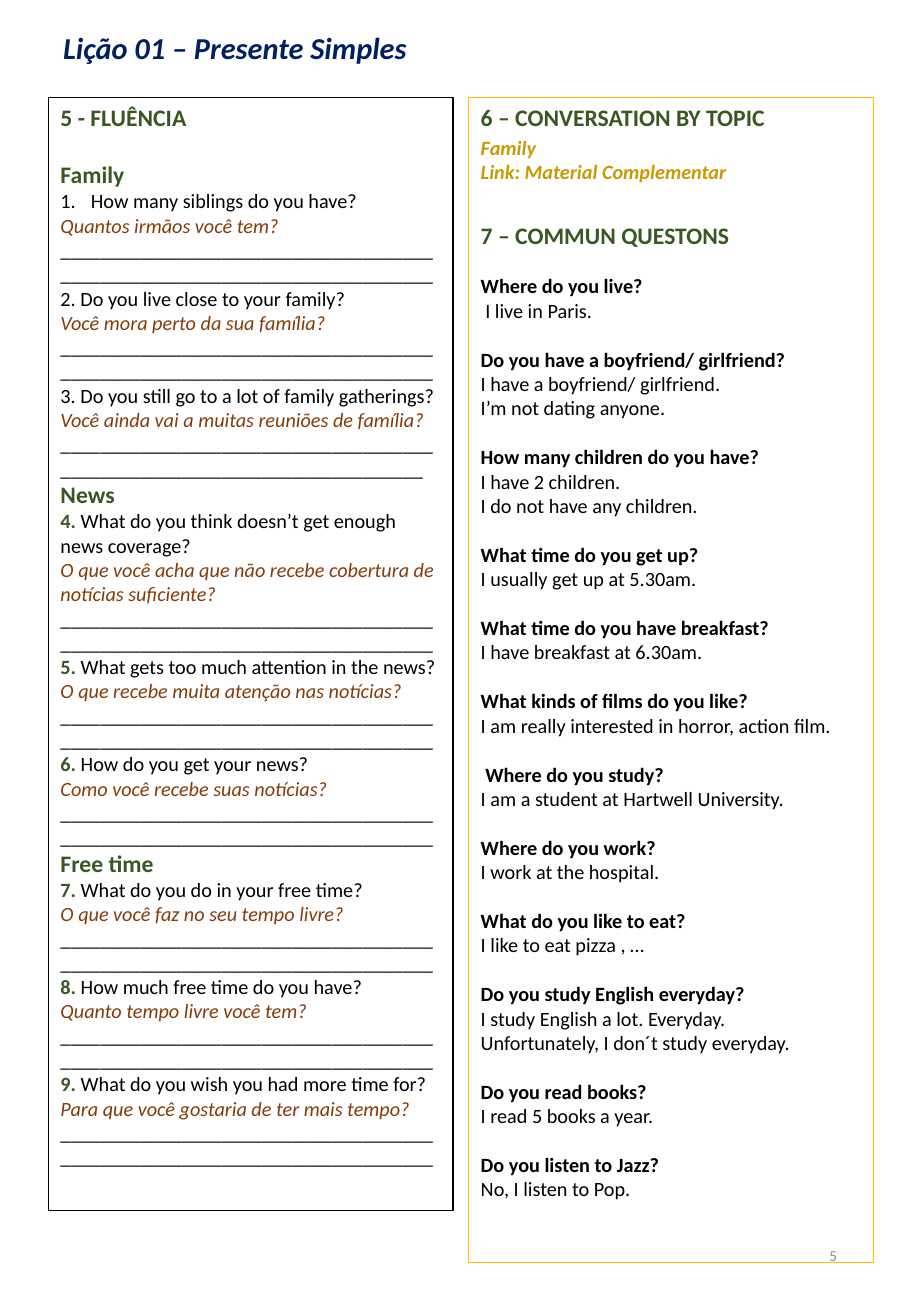
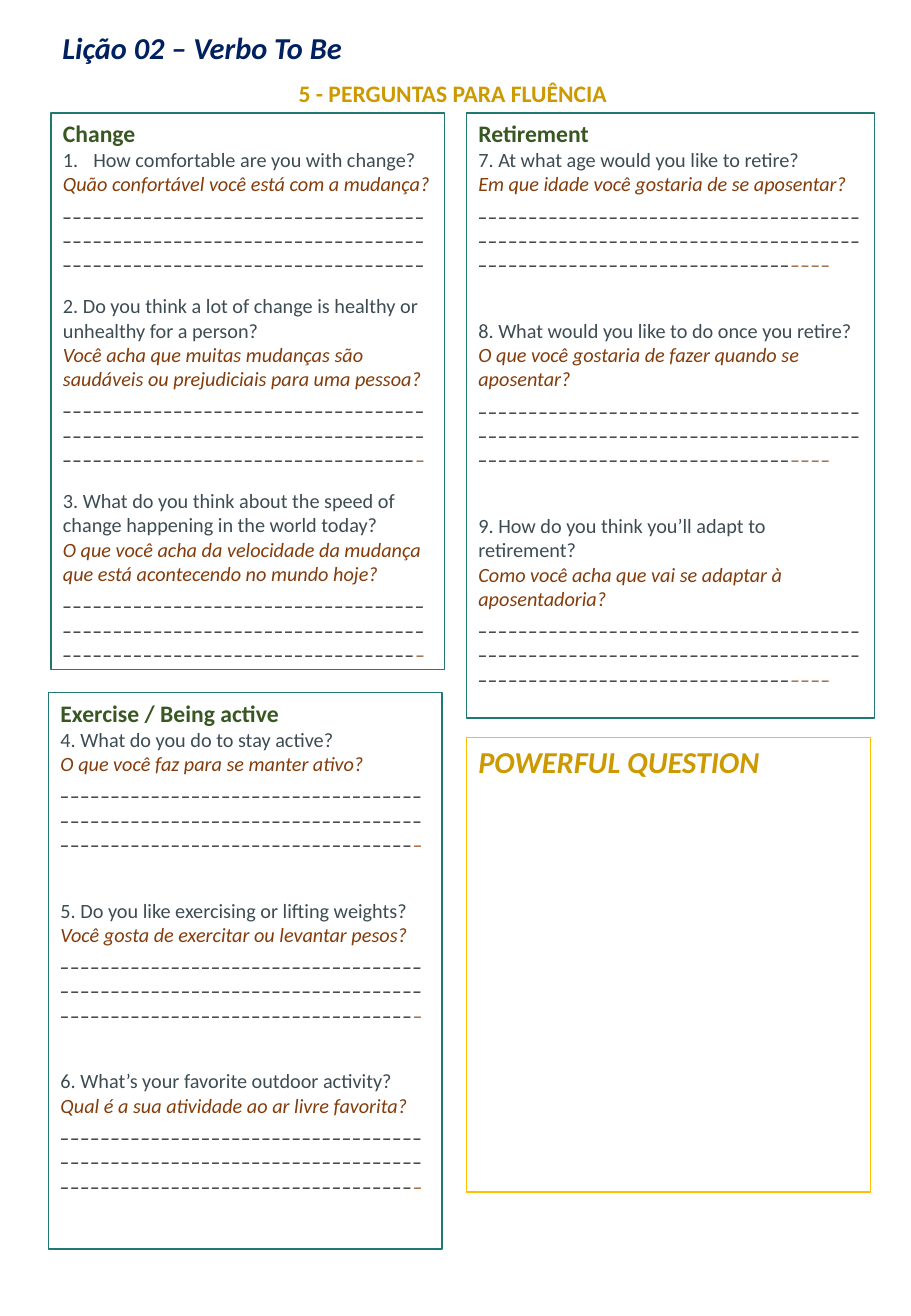
from pptx import Presentation
from pptx.dml.color import RGBColor
from pptx.enum.shapes import MSO_SHAPE
from pptx.enum.text import MSO_ANCHOR, PP_ALIGN
from pptx.oxml import parse_xml
from pptx.oxml.ns import nsdecls
from pptx.util import Inches, Pt

FONT = "Calibri"
GREEN, GOLD, BROWN, SLATE = "385723", "CC9900", "843C0B", "3D4C53"
BLACK, TEAL, YELLOW = "000000", "1F7872", "FFC000"
LINE = 14.6  # height of one 12 pt line

# size, colour, bold, italic
STYLES = {
    "title": (18, "002060", True, True),
    "heading": (14, GREEN, True, False),
    "banner": (14, GOLD, True, False),
    "powerful": (18, GOLD, True, True),
    "topic": (12, GOLD, True, True),
    "number": (12, GREEN, True, False),
    "plain": (12, BLACK, False, False),
    "strong": (12, BLACK, True, False),
    "slate": (12, SLATE, False, False),
    "translation": (12, BROWN, False, True),
    "rule": (12, BLACK, False, True),
    "page": (9, "8C8C8C", False, False),
}


def write(shape, rows, align=PP_ALIGN.LEFT, anchor=MSO_ANCHOR.TOP, wrap=True, spacing=None):
    """Fill a shape with rows of (space before, runs, is numbered)."""
    frame = shape.text_frame
    frame.word_wrap = wrap
    frame.vertical_anchor = anchor
    for index, (gap, runs, numbered) in enumerate(rows):
        paragraph = frame.paragraphs[0] if index == 0 else frame.add_paragraph()
        paragraph.alignment = align
        paragraph.space_before = Pt(gap)
        if spacing:
            paragraph.line_spacing = spacing
        if numbered:
            properties = paragraph._p.get_or_add_pPr()
            properties.set("marL", str(Inches(0.25)))
            properties.set("indent", str(-Inches(0.25)))
            properties.append(parse_xml(
                f'<a:buAutoNum {nsdecls("a")} type="arabicPeriod"/>'))
        for text, style in runs:
            run = paragraph.add_run()
            run.text = text
            font = run.font
            font.name = FONT
            size, colour, font.bold, font.italic = STYLES[style]
            font.size = Pt(size)
            font.color.rgb = RGBColor.from_string(colour)


def add_panel(slide, left, top, width, height, colour, rows):
    """Add an outlined box with text."""
    panel = slide.shapes.add_shape(MSO_SHAPE.RECTANGLE, Inches(left), Inches(top),
                                   Inches(width), Inches(height))
    panel.shadow.inherit = False
    panel.fill.background()
    panel.line.color.rgb = RGBColor.from_string(colour)
    panel.line.width = Pt(0.75)
    write(panel, rows)


deck = Presentation()
deck.slide_width, deck.slide_height = Inches(7.5), Inches(10.83)

lessons = []
for lesson_title, title_width in [("Lição 01 – Presente Simples", 3.07),
                                  ("Lição 02 – Verbo To Be", 2.53)]:
    lesson = deck.slides.add_slide(deck.slide_layouts[6])
    heading = lesson.shapes.add_textbox(Inches(0.4), Inches(0.17),
                                        Inches(title_width), Inches(0.41))
    write(heading, [(0, [(lesson_title, "title")], False)],
          PP_ALIGN.CENTER, wrap=False, spacing=1.07)
    lessons.append(lesson)
present_simple, verb_to_be = lessons

# Lesson 1: common questions on the right
common_questions = [
    ("Where do you live?", "\u00a0I live in Paris."),
    ("Do you have a boyfriend/ girlfriend?", "I have a boyfriend/ girlfriend.",
     "I’m not dating anyone."),
    ("How many children do you have?", "I have 2 children.",
     "I do not have any children."),
    ("What time do you get up?", "I usually get up at 5.30am."),
    ("What time do you have breakfast?", "I have breakfast at 6.30am."),
    ("What kinds of films do you like?", "I am really interested in horror, action film."),
    ("\u00a0Where do you study?", "I am a student at Hartwell University."),
    ("Where do you work?", "I work at the hospital."),
    ("What do you like to eat?", "I like to eat pizza , …"),
    ("Do you study English everyday?", "I study English a lot. Everyday.",
     "Unfortunately, I don´t study everyday."),
    ("Do you read books?", "I read 5 books a year."),
    ("Do you listen to Jazz?", "No, I listen to Pop."),
]
conversation = [
    (0, [("6 – CONVERSATION BY TOPIC", "heading")], False),
    (2, [("Family", "topic")], False),
    (0, [("Link: Material Complementar", "topic")], False),
    (22, [("7 – COMMUN QUESTONS", "heading")], False),
]
for question, *answers in common_questions:
    conversation.append((LINE, [(question, "strong")], False))
    conversation += [(0, [(answer, "plain")], False) for answer in answers]
add_panel(present_simple, 3.86, 0.8, 3.33, 9.59, YELLOW, conversation)

page_number = present_simple.shapes.add_textbox(Inches(5.3), Inches(10.04),
                                                Inches(1.69), Inches(0.58))
write(page_number, [(0, [("5", "page")], False)], PP_ALIGN.RIGHT, MSO_ANCHOR.MIDDLE)

# Lesson 1: fluency questions on the left
fluency_topics = [
    ("Family", [
        ("", "How many siblings do you have?", "Quantos irmãos você tem?", 74),
        ("2. ", "Do you live close to your family?", "Você mora perto da sua família?", 74),
        ("3. ", "Do you still go to a lot of family gatherings?",
         "Você ainda vai a muitas reuniões de família?", 73)]),
    ("News", [
        ("4. ", "What do you think doesn’t get enough news coverage?",
         "O que você acha que não recebe cobertura de notícias suficiente?", 74),
        ("5. ", "What gets too much attention in the news?",
         "O que recebe muita atenção nas notícias?", 74),
        ("6. ", "How do you get your news?", "Como você recebe suas notícias?", 74)]),
    ("Free time", [
        ("7. ", "What do you do in your free time?", "O que você faz no seu tempo livre?", 74),
        ("8. ", "How much free time do you have?", "Quanto tempo livre você tem?", 74),
        ("9. ", "What do you wish you had more time for?",
         "Para que você gostaria de ter mais tempo?", 74)]),
]
fluency = [(0, [("5 - FLUÊNCIA", "heading")], False)]
for topic, questions in fluency_topics:
    number_style = "plain" if topic == "Family" else "number"
    fluency.append((17 if topic == "Family" else 0, [(topic, "heading")], False))
    for number, question, translation, rule_length in questions:
        runs = [(number, number_style)] if number else []
        fluency += [(0, runs + [(question, "plain")], not number),
                    (0, [(translation, "translation")], False),
                    (0, [("_" * rule_length, "plain")], False)]
add_panel(present_simple, 0.4, 0.8, 3.33, 9.16, BLACK, fluency)

# Lesson 2: one panel per topic; brown_end is the count of brown marks closing a rule
banner = verb_to_be.shapes.add_textbox(Inches(2.36), Inches(0.6), Inches(2.76), Inches(0.34))
write(banner, [(0, [("5 - PERGUNTAS PARA FLUÊNCIA", "banner")], False)], wrap=False)

topic_panels = [
    ("Change", (0.42, 0.93, 3.24, 4.58), LINE, 1, [
        ("How comfortable are you with change?", "Quão confortável você está com a mudança?"),
        ("2. Do you think a lot of change is healthy or unhealthy for a person?",
         "Você acha que muitas mudanças são saudáveis ou prejudiciais para uma pessoa?"),
        ("3. What do you think about the speed of change happening in the world today?",
         "O que você acha da velocidade da mudança que está acontecendo no mundo hoje?")]),
    ("Retirement", (3.84, 0.93, 3.36, 4.98), 2 * LINE, 4, [
        ("7. At what age would you like to retire?",
         "Em que idade você gostaria de se aposentar?"),
        ("8. What would you like to do once you retire?",
         "O que você gostaria de fazer quando se aposentar?"),
        ("9. How do you think you’ll adapt to retirement?",
         "Como você acha que vai se adaptar à aposentadoria?")]),
    ("Exercise / Being active", (0.4, 5.7, 3.24, 4.58), 2 * LINE, 1, [
        ("4. What do you do to stay active?", "O que você faz para se manter ativo?"),
        ("5. Do you like exercising or lifting weights?",
         "Você gosta de exercitar ou levantar pesos?"),
        ("6. What’s your favorite outdoor activity?",
         "Qual é a sua atividade ao ar livre favorita?")]),
]
for topic, box, gap, brown_end, questions in topic_panels:
    rows = [(0, [(topic, "heading")], False)]
    for index, (question, translation) in enumerate(questions):
        numbered = not question[0].isdigit()
        rule = [("_" * 108, "rule")] if numbered else [
            ("_" * 107, "rule"), ("_" * brown_end, "translation")]
        rows += [(gap if index else 0, [(question, "slate")], numbered),
                 (0, [(translation, "translation")], False),
                 (0, rule, False)]
    add_panel(verb_to_be, *box, TEAL, rows)

add_panel(verb_to_be, 3.84, 6.07, 3.33, 3.74, YELLOW,
          [(0, [("POWERFUL QUESTION", "powerful")], False)])

deck.save("out.pptx")
